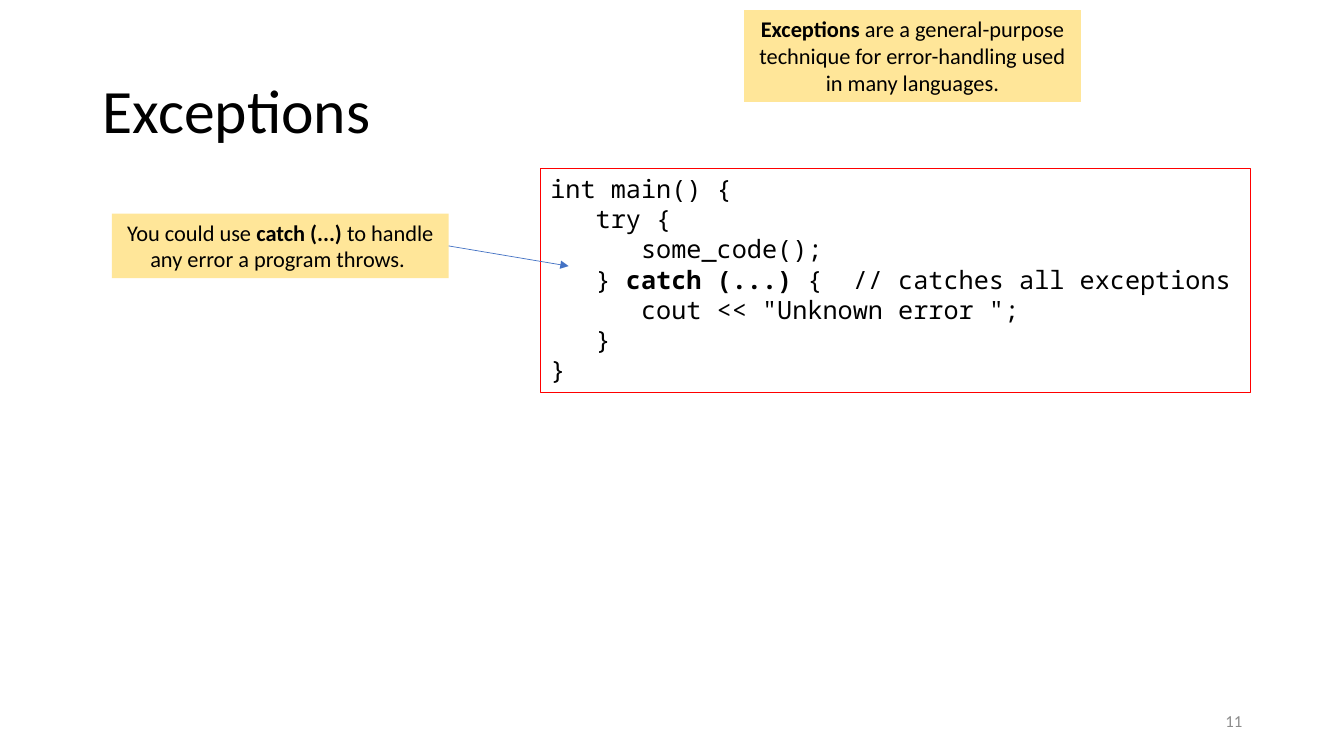
from lxml import etree
from pptx import Presentation
from pptx.dml.color import RGBColor
from pptx.enum.shapes import MSO_CONNECTOR, MSO_SHAPE
from pptx.enum.text import MSO_ANCHOR, PP_ALIGN
from pptx.oxml import parse_xml
from pptx.oxml.ns import nsdecls, qn
from pptx.util import Inches, Pt

COLORS = {"text": "000000", "note": "FFE699", "border": "FF0000",
          "arrow": "4472C4", "number": "8C8C8C"}
BODY_FONT = "Calibri"
CODE_FONT = "Noto Sans Mono"

# Each line is a list of (text, bold) spans.
TITLE = [[("Exceptions", False)]]
DEFINITION = [[
    ("Exceptions", True),
    (" are a general-purpose technique for error-handling used in many languages.", False),
]]
CATCH_ALL = [[
    ("You could use ", False),
    ("catch (...) ", True),
    ("to handle any error a program throws. ", False),
]]
CODE = [
    [("int main() {", False)],
    [("   try {", False)],
    [("      some_code();", False)],
    [("   } ", False), ("catch (...) ", True), ("{  // catches all exceptions", False)],
    [('      cout << "Unknown error ";', False)],
    [("   }", False)],
    [("}", False)],
]
SLIDE_NUMBER = "11"

# Left, top, width, height in inches
TITLE_AREA = (0.92, 0.4, 7.42, 1.45)
DEFINITION_AREA = (7.38, 0.1, 3.34, 0.91)
CATCH_ALL_AREA = (1.11, 2.12, 3.34, 0.64)
CODE_AREA = (5.36, 1.67, 7.04, 2.22)
NUMBER_AREA = (9.42, 6.95, 3, 0.4)
ARROW_TIP = (5.64, 2.64)


def inches(values):
    return [Inches(value) for value in values]


def color(name):
    return RGBColor.from_string(COLORS[name])


def write(frame, lines, size, font, align, spacing=None, anchor=MSO_ANCHOR.TOP):
    frame.word_wrap = True
    frame.vertical_anchor = anchor
    for index, line in enumerate(lines):
        para = frame.paragraphs[0] if index == 0 else frame.add_paragraph()
        para.alignment = align
        para.line_spacing = spacing
        for text, bold in line:
            span = para.add_run()
            span.text = text
            span.font.name = font
            span.font.size = Pt(size)
            span.font.bold = bold
            span.font.color.rgb = color("text")


def add_box(slide, area, fill=None, border=None):
    box = slide.shapes.add_shape(MSO_SHAPE.RECTANGLE, *inches(area))
    box.shadow.inherit = False
    if fill:
        box.fill.solid()
        box.fill.fore_color.rgb = color(fill)
    else:
        box.fill.background()
    if border:
        box.line.color.rgb = color(border)
        box.line.width = Pt(0.75)
    else:
        box.line.fill.background()
    return box


def add_arrow(slide, start, end):
    arrow = slide.shapes.add_connector(MSO_CONNECTOR.STRAIGHT, *inches(start + end))
    arrow.line.color.rgb = color("arrow")
    arrow.line.width = Pt(0.5)
    properties = arrow.element.spPr
    etree.SubElement(properties.find(qn("a:ln")), qn("a:tailEnd"), type="triangle")
    etree.SubElement(properties, qn("a:effectLst"))


def add_slide_number(slide):
    box = slide.shapes.add_textbox(*inches(NUMBER_AREA))
    frame = box.text_frame
    frame.word_wrap = True
    frame.vertical_anchor = MSO_ANCHOR.MIDDLE
    para = frame.paragraphs[0]
    para.alignment = PP_ALIGN.RIGHT
    para._p.append(parse_xml(
        f'<a:fld {nsdecls("a")} id="{{B6F15528-21DE-4FAA-801E-634DDDAF4B2B}}" type="slidenum">'
        f'<a:rPr lang="en-US" sz="1200"><a:solidFill><a:srgbClr val="{COLORS["number"]}"/>'
        f'</a:solidFill><a:latin typeface="{BODY_FONT}"/></a:rPr>'
        f'<a:t>{SLIDE_NUMBER}</a:t></a:fld>'))


def main():
    deck = Presentation()
    deck.slide_width, deck.slide_height = Inches(13.33), Inches(7.5)
    deck.element.set("firstSlideNum", SLIDE_NUMBER)
    slide = deck.slides.add_slide(deck.slide_layouts[5])

    title = slide.shapes.title
    title.left, title.top, title.width, title.height = inches(TITLE_AREA)
    write(title.text_frame, TITLE, 44, BODY_FONT, PP_ALIGN.LEFT, 0.9, MSO_ANCHOR.MIDDLE)

    add_slide_number(slide)
    for area, lines in ((DEFINITION_AREA, DEFINITION), (CATCH_ALL_AREA, CATCH_ALL)):
        note = add_box(slide, area, fill="note")
        write(note.text_frame, lines, 16, BODY_FONT, PP_ALIGN.CENTER)

    code = add_box(slide, CODE_AREA, border="border")
    write(code.text_frame, CODE, 18, CODE_FONT, PP_ALIGN.LEFT, Pt(21.6))

    left, top, width, height = CATCH_ALL_AREA
    add_arrow(slide, (left + width, top + height / 2), ARROW_TIP)
    deck.save("out.pptx")


if __name__ == "__main__":
    main()
